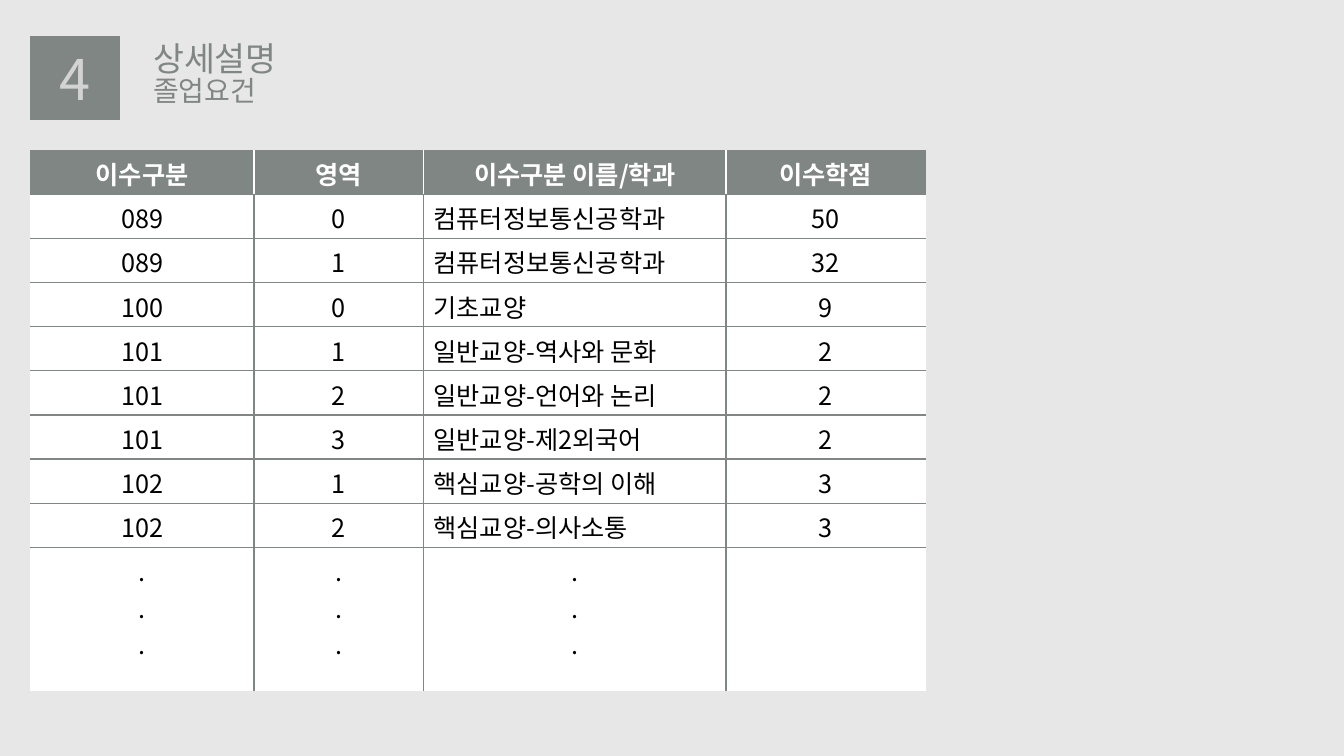
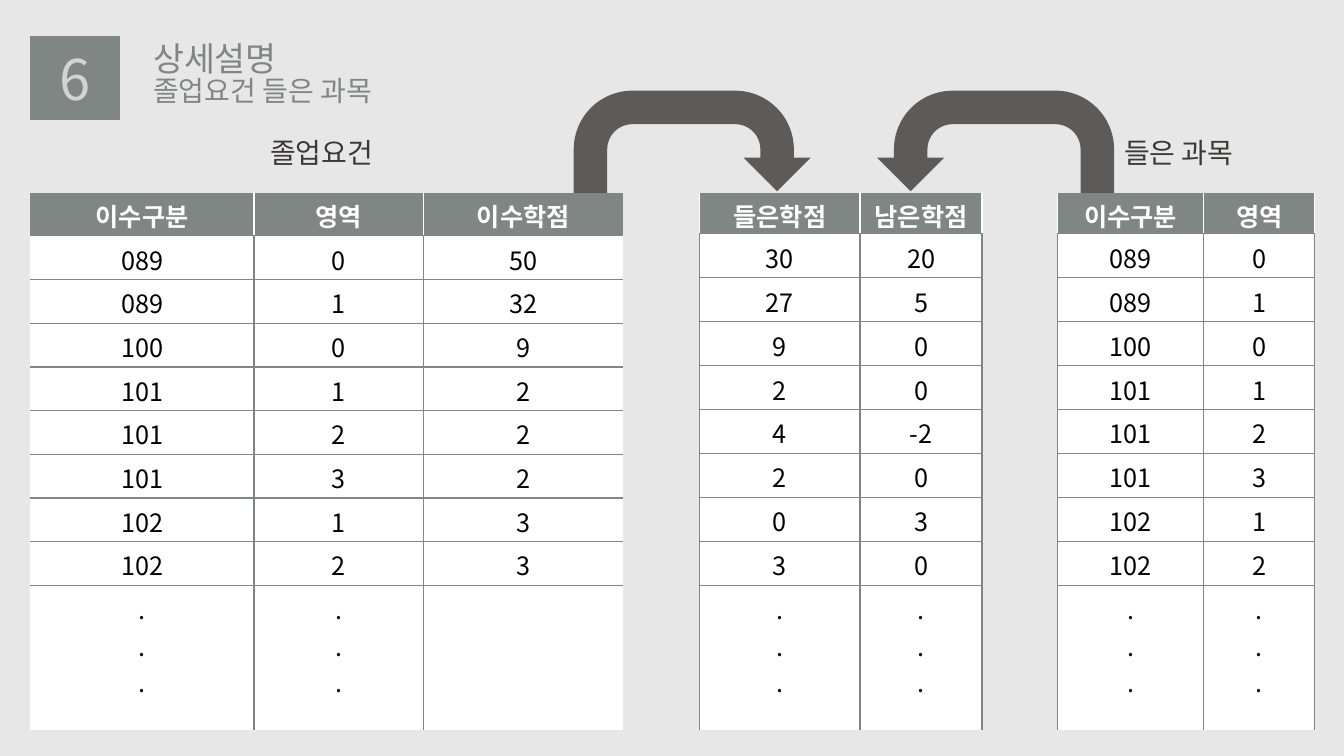
from dataclasses import dataclass

from lxml.etree import SubElement
from pptx import Presentation
from pptx.dml.color import RGBColor
from pptx.enum.shapes import MSO_SHAPE as SHAPE
from pptx.enum.text import MSO_ANCHOR as ANCHOR, PP_ALIGN as ALIGN
from pptx.oxml.ns import qn
from pptx.util import Inches, Pt


@dataclass(frozen=True)
class Theme:
    font: str = "Noto Sans CJK KR"
    gray: str = "808684"
    paper: str = "E6E7E6"
    white: str = "FFFFFF"
    black: str = "000000"
    dark: str = "3B3838"
    number: str = "D2D3D2"
    number_size: int = 40
    title_size: int = 24
    label_size: int = 20
    cell_size: int = 18
    line_spacing: float = 0.85


T = Theme()
NO_STYLE = "{2D5ABB26-0587-4C30-8999-92F81FD0307C}"

# Content
TITLE = "상세설명"
DOTS = ".\n.\n."
REQUIRED = [
    ("089", "0", "컴퓨터정보통신공학과", "50"),
    ("089", "1", "컴퓨터정보통신공학과", "32"),
    ("100", "0", "기초교양", "9"),
    ("101", "1", "일반교양-역사와 문화", "2"),
    ("101", "2", "일반교양-언어와 논리", "2"),
    ("101", "3", "일반교양-제2외국어", "2"),
    ("102", "1", "핵심교양-공학의 이해", "3"),
    ("102", "2", "핵심교양-의사소통", "3"),
    (DOTS, DOTS, DOTS, ""),
]
TAKEN_LEFT = [("30", "20"), ("27", "5"), ("9", "0"), ("2", "0"), ("4", "-2"),
              ("2", "0"), ("0", "3"), ("3", "0"), (DOTS, DOTS)]
CODE, AREA, NAME, CREDIT = "이수구분", "영역", "이수구분 이름/학과", "이수학점"

DETAIL_TABLE = dict(
    head=(CODE, AREA, NAME, CREDIT), body=REQUIRED, left=0.3, top=1.49,
    widths=(2.22, 1.68, 3, 1.98), height=5.37, head_height=0.44, name_col=2)
MATCH_TABLES = [
    dict(head=(CODE, AREA, CREDIT), body=[(c, a, n) for c, a, _, n in REQUIRED],
         left=0.3, top=1.91, widths=(2.22, 1.68, 1.98), height=5.33,
         head_height=0.43),
    dict(head=(CODE, AREA), body=[row[:2] for row in REQUIRED],
         left=10.49, top=1.91, widths=(1.45, 1.1), height=5.33,
         head_height=0.41, boxed=True),
    dict(head=("들은학점", "남은학점"), body=TAKEN_LEFT,
         left=6.94, top=1.91, widths=(1.59, 1.21), height=5.33,
         head_height=0.41, boxed=True),
]
ARROWS = [(8.7, True), (5.69, False)]  # left, flipped
LABELS = [("졸업요건", 2.58, 1.32), ("들은 과목", 11.05, 1.42)]


# Helpers
def rgb(color):
    return RGBColor.from_string(color)


def write(tf, lines, color, align=ALIGN.LEFT, bold=False, spacing=None):
    """Fill a text frame with (text, size) lines."""
    for i, (text, size) in enumerate(lines):
        p = tf.add_paragraph() if i else tf.paragraphs[0]
        p.text, p.alignment = text, align
        if spacing:
            p.line_spacing = spacing
        f = p.font
        f.name, f.size, f.bold = T.font, Pt(size), bold
        f.color.rgb = rgb(color)
        SubElement(f._element, qn("a:ea")).set("typeface", T.font)


def add_text(s, lines, color, left, top, width, height):
    tf = s.shapes.add_textbox(*map(Inches, (left, top, width, height))).text_frame
    tf.word_wrap = True
    write(tf, lines, color, spacing=T.line_spacing)


def add_block(s, kind, color, left, top, width, height):
    sp = s.shapes.add_shape(kind, *map(Inches, (left, top, width, height)))
    sp.shadow.inherit = False
    sp.fill.solid()
    sp.fill.fore_color.rgb = rgb(color)
    sp.line.fill.background()
    return sp


def set_borders(cell, sides):
    """Draw one-point lines; they must come before the fill in tcPr."""
    tcPr = cell._tc.get_or_add_tcPr()
    for i, (side, color) in enumerate(sides.items()):
        ln = tcPr.makeelement(qn(f"a:ln{side}"), {"w": str(Pt(1))})
        fill = SubElement(ln, qn("a:solidFill"))
        SubElement(fill, qn("a:srgbClr")).set("val", color)
        tcPr.insert(i, ln)


def add_grid(s, head, body, left, top, widths, height, head_height,
             name_col=None, boxed=False):
    dots_height = 1.43
    row_height = (height - head_height - dots_height) / (len(body) - 1)
    heights = [head_height] + [row_height] * (len(body) - 1) + [dots_height]
    rows, last_row, last_col = [head, *body], len(body), len(head) - 1
    tbl = s.shapes.add_table(len(rows), len(head), *map(
        Inches, (left, top, sum(widths), height))).table
    tbl._tbl.tblPr.find(qn("a:tableStyleId")).text = NO_STYLE
    tbl.first_row = tbl.horz_banding = False
    for col, width in zip(tbl.columns, widths):
        col.width = Inches(width)
    for r, (row, row_h) in enumerate(zip(rows, heights)):
        tbl.rows[r].height = Inches(row_h)
        is_head = r == 0
        for c, text in enumerate(row):
            cell = tbl.cell(r, c)
            cell.fill.solid()
            cell.fill.fore_color.rgb = rgb(T.gray if is_head else T.white)
            is_name = c == name_col and 0 < r < last_row
            write(cell.text_frame, [(t, T.cell_size) for t in text.split("\n")],
                  T.white if is_head else T.black,
                  ALIGN.LEFT if is_name else ALIGN.CENTER, is_head)
            upright = T.white if is_head else T.gray
            drawn = {"L": (c > 0 or boxed, upright),
                     "R": (c < last_col or boxed, upright),
                     "T": (r > 0, T.gray), "B": (r < last_row, T.gray)}
            set_borders(cell, {k: color for k, (on, color) in drawn.items() if on})


def add_uturn(s, left, flipped):
    sp = add_block(s, SHAPE.U_TURN_ARROW, T.dark, left, 0.9, 2.35, 1.33)
    color = sp._element.spPr.find(qn("a:solidFill"))[0]
    SubElement(color, qn("a:alpha")).set("val", "80000")
    if flipped:
        sp._element.spPr.find(qn("a:xfrm")).set("flipH", "1")


def new_slide(prs):
    s = prs.slides.add_slide(prs.slide_layouts[6])
    s.background.fill.solid()
    s.background.fill.fore_color.rgb = rgb(T.paper)
    return s


def add_header(s, number, subtitle):
    tf = add_block(s, SHAPE.RECTANGLE, T.gray, 0.3, 0.36, 0.89, 0.83).text_frame
    tf.vertical_anchor = ANCHOR.MIDDLE
    write(tf, [(number, T.number_size)], T.number, ALIGN.CENTER)
    add_text(s, [(TITLE, T.title_size), (subtitle, T.label_size)], T.gray,
             1.42, 0.39, 4.61, 0.84)


# Slides
def main():
    prs = Presentation()
    prs.slide_width, prs.slide_height = Inches(13.33), Inches(7.5)

    # Graduation requirements
    s = new_slide(prs)
    add_header(s, "4", "졸업요건")
    add_grid(s, **DETAIL_TABLE)

    # Requirements matched with courses taken
    s = new_slide(prs)
    for left, flipped in ARROWS:
        add_uturn(s, left, flipped)
    add_header(s, "6", "졸업요건 들은 과목")
    for table in MATCH_TABLES:
        add_grid(s, **table)
    for text, left, width in LABELS:
        add_text(s, [(text, T.label_size)], T.dark, left, 1.35, width, 0.44)

    prs.save("out.pptx")


if __name__ == "__main__":
    main()
